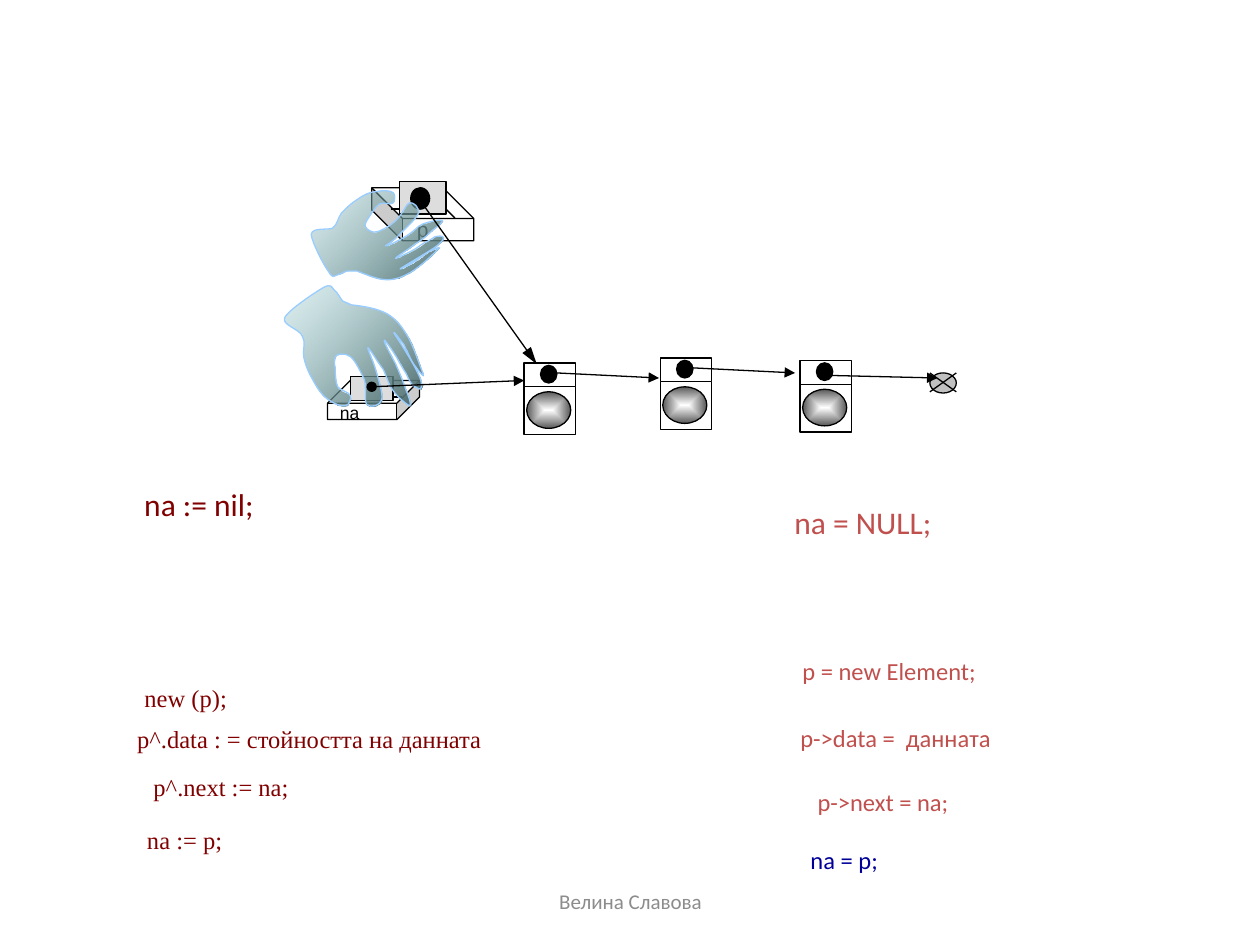
from itertools import chain
from math import cos, radians, sin

from lxml import etree
from pptx import Presentation
from pptx import util as u
from pptx.dml.color import RGBColor
from pptx.enum import shapes, text
from pptx.oxml.ns import qn

BLACK = RGBColor(0x00, 0x00, 0x00)
WHITE = RGBColor(0xFF, 0xFF, 0xFF)
PALE = RGBColor(0xDD, 0xDD, 0xDD)
SILVER = RGBColor(0xC0, 0xC0, 0xC0)
DARK = RGBColor(0x59, 0x59, 0x59)
GREY = RGBColor(0x8C, 0x8C, 0x8C)
MAROON = RGBColor(0x80, 0x00, 0x00)
RED = RGBColor(0xC0, 0x50, 0x4D)
NAVY = RGBColor(0x00, 0x00, 0x99)
TEAL = RGBColor(0x47, 0x61, 0x63)
AQUA = RGBColor(0x9A, 0xD2, 0xD6)
SKY = RGBColor(0x99, 0xCC, 0xFF)

# The slide is a grid of 1000 columns by 750 rows of square cells
WIDE, HIGH = u.Inches(10), u.Inches(7.5)
CELL = WIDE // 1000
KIND = shapes.MSO_SHAPE
SERIF, SANS = "Times New Roman", "Calibri"

# Hand outlines: a start point, then Bezier curves of three points each
UPPER = (
    283, 215, 291, 218, 300, 222, 307, 222, 314, 222, 319, 220, 326, 216,
    333, 212, 346, 200, 348, 197, 351, 195, 344, 198, 340, 200,
    337, 202, 330, 207, 327, 209, 323, 211, 315, 215, 318, 213,
    321, 211, 338, 201, 344, 197, 350, 193, 352, 190, 352, 189,
    352, 187, 348, 187, 345, 188, 343, 189, 341, 191, 338, 192,
    334, 194, 331, 197, 327, 199, 323, 201, 313, 206, 314, 205,
    314, 204, 324, 198, 329, 194, 334, 191, 339, 187, 343, 183,
    347, 180, 352, 176, 351, 175, 349, 174, 340, 176, 335, 178,
    331, 180, 328, 184, 323, 187, 318, 190, 307, 196, 306, 195,
    306, 195, 314, 190, 318, 185, 322, 181, 331, 173, 332, 169,
    333, 165, 328, 160, 325, 161, 322, 162, 319, 171, 314, 175,
    310, 179, 303, 183, 299, 184, 295, 185, 291, 182, 290, 180,
    289, 178, 291, 175, 293, 172, 295, 169, 298, 164, 301, 162,
    304, 160, 310, 163, 312, 161, 313, 160, 314, 155, 312, 153,
    310, 151, 303, 151, 299, 152, 294, 152, 288, 155, 284, 158,
    279, 161, 275, 165, 271, 169, 268, 173, 268, 178, 264, 181,
    260, 183, 248, 180, 247, 186, 247, 191, 257, 211, 261, 216,
    264, 221, 265, 219, 268, 218, 270, 218, 274, 215, 276, 215)
LOWER = (
    279, 242, 289, 243, 300, 245, 307, 249, 314, 253, 318, 258, 323, 266,
    328, 274, 334, 293, 336, 297, 337, 301, 332, 294, 329, 290,
    326, 286, 323, 278, 320, 273, 317, 269, 311, 261, 313, 265,
    315, 268, 328, 288, 331, 295, 335, 302, 335, 307, 334, 308,
    334, 310, 329, 307, 327, 305, 325, 303, 324, 300, 322, 296,
    320, 293, 317, 288, 315, 284, 312, 279, 305, 269, 305, 270,
    304, 271, 311, 283, 314, 289, 317, 296, 320, 303, 322, 309,
    324, 314, 327, 322, 325, 322, 324, 322, 315, 315, 312, 310,
    308, 305, 307, 299, 304, 293, 300, 288, 293, 276, 292, 276,
    291, 276, 296, 286, 298, 293, 300, 300, 304, 312, 303, 317,
    302, 322, 294, 324, 291, 321, 289, 319, 291, 307, 289, 301,
    286, 295, 282, 286, 278, 283, 274, 280, 269, 281, 267, 282,
    265, 284, 265, 288, 266, 292, 266, 296, 266, 303, 268, 307,
    270, 310, 277, 311, 278, 314, 279, 316, 277, 322, 274, 322,
    271, 323, 264, 320, 259, 316, 255, 313, 251, 307, 248, 301,
    245, 296, 242, 289, 241, 283, 240, 277, 243, 272, 240, 267,
    238, 261, 223, 258, 226, 252, 229, 246, 250, 232, 257, 228,
    263, 225, 263, 228, 265, 230, 268, 232, 270, 237, 272, 239)


def cells(*nums):
    return [round(n * CELL) for n in nums]


def edge(item, color=BLACK):
    item.line.color.rgb = color
    item.line.width = u.Pt(0.75)


def blend(item, first, last):
    item.fill.gradient()
    for stop, color in zip(item.fill.gradient_stops, (first, last)):
        stop.color.rgb = color


def block(tree, kind, box, fill=WHITE, flip=False):
    item = tree.add_shape(kind, *cells(*box))
    item.shadow.inherit = False
    item.fill.solid()
    item.fill.fore_color.rgb = fill
    edge(item)
    if flip:
        item._element.spPr.find(qn("a:xfrm")).set("flipH", "1")
    return item


def cube(tree, box, flip=False):
    block(tree, KIND.CUBE, box, flip=flip).adjustments[0] = 0.58


def line(tree, *ends, head=None, tail=None, size="med"):
    item = tree.add_connector(shapes.MSO_CONNECTOR.STRAIGHT, *cells(*ends))
    edge(item)
    stroke = item.line._get_or_add_ln()
    for tag, mark in (("a:headEnd", head), ("a:tailEnd", tail)):
        if mark:
            tip = etree.SubElement(stroke, qn(tag))
            tip.set("type", mark)
            tip.set("len", size)
    etree.SubElement(item._element.spPr, qn("a:effectLst"))


def ball(tree, box):
    item = block(tree, KIND.OVAL, box)
    blend(item, WHITE, DARK)
    grad = item._element.spPr.find(qn("a:gradFill"))
    grad.remove(grad.find(qn("a:lin")))
    glow = etree.SubElement(grad, qn("a:path"))
    glow.set("path", "shape")
    rect = etree.SubElement(glow, qn("a:fillToRect"))
    for side in "ltrb":
        rect.set(side, "50000")


def node(tree, x, y):
    block(tree, KIND.RECTANGLE, (x, y + 19, 41, 38))
    block(tree, KIND.RECTANGLE, (x, y, 41, 19))
    block(tree, KIND.OVAL, (x + 13, y + 2, 13, 14), BLACK)
    ball(tree, (x + 2, y + 23, 35, 29))


def spin(x, y, turn):
    c, s = cos(radians(turn)), sin(radians(turn))
    return x * c - y * s, x * s + y * c


def curve(item):
    """Join each three straight segments into one Bezier curve."""
    segs = list(item._element.iter(qn("a:lnTo")))
    for i in range(0, len(segs), 3):
        bend = etree.Element(qn("a:cubicBezTo"))
        segs[i].addprevious(bend)
        for seg in segs[i:i + 3]:
            bend.append(seg[0])
            seg.getparent().remove(seg)


def hand(tree, data, mid, turn):
    # Turn the outline back, so that the shape's rotation sets it upright
    mx, my = cells(*mid)
    dots = [tuple(map(round, spin(x * CELL - mx, y * CELL - my, -turn)))
            for x, y in zip(data[::2], data[1::2])]
    pen = tree.build_freeform(*dots[0])
    pen.add_line_segments(dots[1:], close=True)
    item = pen.convert_to_shape()
    curve(item)
    # Put the turned centre where it belongs
    half = item.width / 2, item.height / 2
    cx, cy = spin(item.left + half[0], item.top + half[1], turn)
    item.left, item.top = round(mx + cx - half[0]), round(my + cy - half[1])
    item.rotation = turn
    item.shadow.inherit = False
    blend(item, TEAL, AQUA)
    item.fill.gradient_angle = (turn + 135) % 360
    last = list(item._element.spPr.iter(qn("a:srgbClr")))[-1]
    etree.SubElement(last, qn("a:alpha")).set("val", "30000")
    edge(item, SKY)


def label(tree, box, words, size, font, color, wrap=True, align=None):
    item = tree.add_textbox(*cells(*box))
    frame = item.text_frame
    frame.word_wrap = wrap
    para = frame.paragraphs[0]
    para.alignment = align
    run = para.add_run()
    run.text = words
    run.font.size = u.Pt(size)
    run.font.name = font
    run.font.color.rgb = color
    return frame


def main():
    deck = Presentation()
    deck.slide_width, deck.slide_height = WIDE, HIGH
    tree = deck.slides.add_slide(deck.slide_layouts[6]).shapes

    # Pointer box "na"
    cube(tree, (260, 302, 73, 31))
    line(tree, 319, 315, 280, 315)
    block(tree, KIND.RECTANGLE, (278, 299, 34, 19), PALE)
    label(tree, (260, 311, 53, 30), "na", 10, "Arial", BLACK).margin_top = cells(8)[0]

    # Pointer box "p"
    cube(tree, (295, 149, 81, 42), flip=True)
    for ends in ((354, 149, 354, 166), (310, 166, 354, 166), (354, 166, 361, 173)):
        line(tree, *ends)
    block(tree, KIND.RECTANGLE, (317, 144, 37, 26), PALE)
    block(tree, KIND.OVAL, (326, 149, 15, 17), BLACK)
    label(tree, (321, 167, 59, 42), "p", 12, "Arial", BLACK)

    # Hands
    hand(tree, UPPER, (296.5, 190.5), 216.8)
    hand(tree, LOWER, (279, 275.5), 172.1)

    # List nodes and the null mark
    for x, y in ((416, 288), (524, 284), (635, 286)):
        node(tree, x, y)
    null = tree.add_group_shape().shapes
    block(null, KIND.OVAL, (738, 296, 21, 16), SILVER)
    line(null, 738, 296, 759, 311)
    line(null, 738, 311, 759, 296)

    # Links
    line(tree, 332, 157, 426, 289, tail="triangle", size="lg")
    line(tree, 295, 307, 416, 302, head="oval", tail="triangle")
    for ends in ((442, 296, 523, 300), (550, 292, 631, 296), (660, 298, 744, 300)):
        line(tree, *ends, tail="triangle")

    # Pascal on the left, C++ on the right
    pascal = (
        ((99, 380, 119, 37), " na := nil;", 18, SANS, MAROON, False),
        ((100, 537, 120, 35), " new (p);", 14, SERIF, MAROON, True,
         text.PP_ALIGN.JUSTIFY),
        ((99, 570, 315, 33), "p^.data : = стойността на данната", 14, SERIF,
         MAROON, False),
        ((112, 608, 137, 33), "p^.next := na;", 14, SERIF, MAROON, False),
        ((102, 650, 90, 33), " na := p;", 14, SERIF, MAROON, False))
    cpp = (
        ((615, 394, 144, 37), " na = NULL;", 18, SANS, RED, False),
        ((627, 516, 250, 37), "p = new Еlement;", 14, SANS, RED),
        ((621, 569, 297, 33), " p->data =  данната", 14, SANS, RED),
        ((639, 620, 140, 33), "p->next = na;", 14, SANS, RED, False),
        ((629, 666, 88, 33), " na = p;", 14, SANS, NAVY, False))
    for row in chain(pascal, cpp):
        label(tree, *row)

    # Footer
    foot = label(tree, (342, 695, 317, 40), "Велина Славова", 12, SANS, GREY,
                 align=text.PP_ALIGN.CENTER)
    foot.vertical_anchor = text.MSO_ANCHOR.MIDDLE

    deck.save("out.pptx")


if __name__ == "__main__":
    main()
